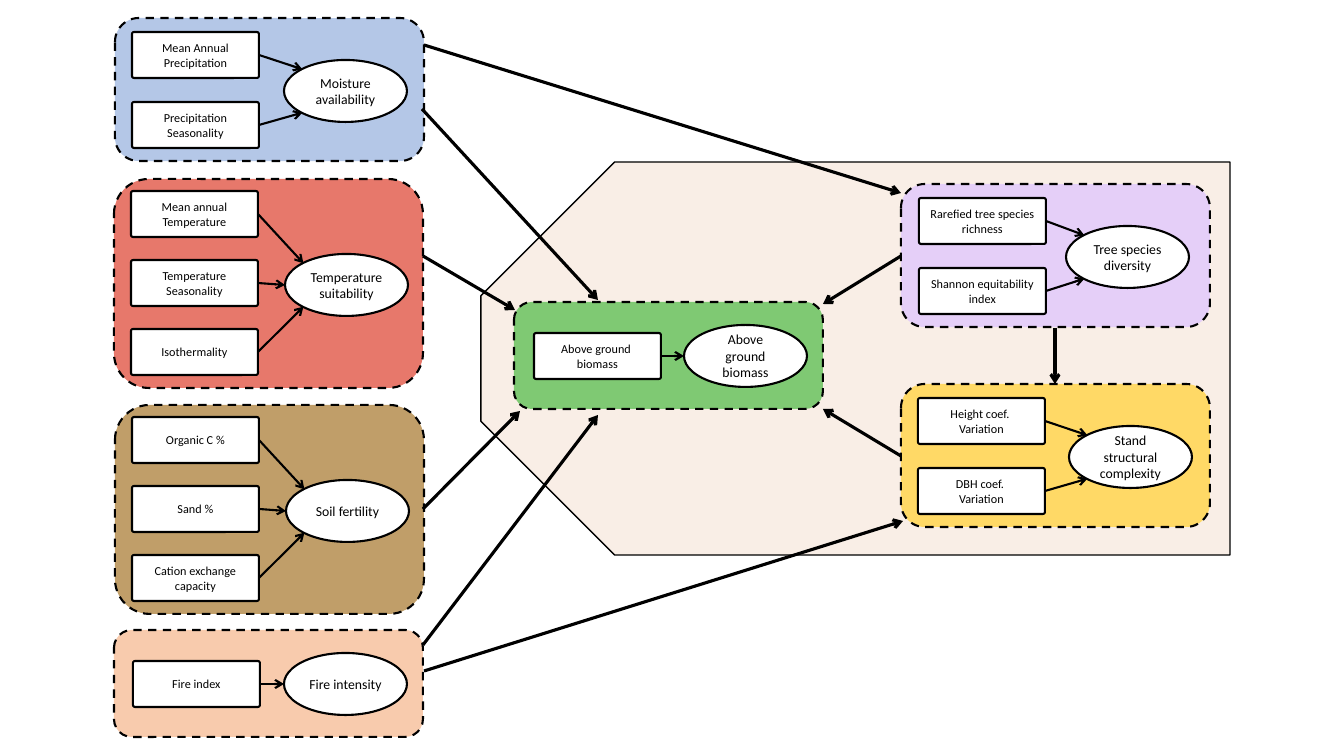
from lxml.etree import SubElement
from pptx import Presentation
from pptx.dml.color import RGBColor
from pptx.enum.dml import MSO_LINE
from pptx.enum.shapes import MSO_CONNECTOR, MSO_SHAPE
from pptx.enum.text import MSO_ANCHOR, PP_ALIGN
from pptx.oxml.ns import qn
from pptx.util import Pt

PX = 12192000 / 1344
COLORS = {
    "ink": "000000", "paper": "FFFFFF", "forest": "C55A11",
    "moisture": "B4C7E7", "temperature": "E7786B", "soil": "A47326",
    "fire": "F8CBAD", "diversity": "E5CFF8", "structure": "FFD966",
    "biomass": "7FC973",
}

prs = Presentation()
prs.slide_width, prs.slide_height = round(1344 * PX), round(756 * PX)
slide = prs.slides.add_slide(prs.slide_layouts[6])


def add_node(kind, bounds, color, weight=1.5, text="", size=9.8, inset=3, opacity=100):
    node = slide.shapes.add_shape(kind, *[round(v * PX) for v in bounds])
    node.shadow.inherit = False
    node.fill.solid()
    node.fill.fore_color.rgb = RGBColor.from_string(COLORS[color])
    if opacity < 100:
        tint = node.fill._xPr.find(qn("a:solidFill"))[0]
        SubElement(tint, qn("a:alpha"), val=str(opacity * 1000))
    node.line.color.rgb = RGBColor.from_string(COLORS["ink"])
    node.line.width = Pt(weight)
    if text:
        frame = node.text_frame
        frame.word_wrap = True
        frame.vertical_anchor = MSO_ANCHOR.MIDDLE
        frame.margin_left = frame.margin_right = round(5 * PX)
        frame.margin_top = frame.margin_bottom = round(inset * PX)
        for i, words in enumerate(text.split("\n")):
            paragraph = frame.paragraphs[0] if i == 0 else frame.add_paragraph()
            paragraph.alignment = PP_ALIGN.CENTER
            run = paragraph.add_run()
            run.text = words
            run.font.name = "Calibri"
            run.font.size = Pt(size)
            run.font.color.rgb = RGBColor.from_string(COLORS["ink"])
    return node


def add_arrow(ends, weight):
    arrow = slide.shapes.add_connector(MSO_CONNECTOR.STRAIGHT, *[round(v * PX) for v in ends])
    arrow.line.color.rgb = RGBColor.from_string(COLORS["ink"])
    arrow.line.width = Pt(weight)
    SubElement(arrow.line._get_or_add_ln(), qn("a:tailEnd"), type="arrow")
    SubElement(arrow._element.spPr, qn("a:effectLst"))


forest = add_node(MSO_SHAPE.SNIP_2_SAME_RECTANGLE, (659, -16, 393, 749), "forest", 1, opacity=10)
forest.adjustments[0] = 0.34
forest.adjustments[1] = 0
forest.rotation = 270

PANEL_W = 309
BOX_W, BOX_H = 127, 46
OVAL_W, OVAL_H = 123, 62
DIAGONAL = 0.15

# panel height, first box offset, box step, oval offset, oval anchors by box
LAYOUTS = {
    1: (107, 31, 0, 23, [(0, 0.5)]),
    2: (143, 14, 70, 42, [(DIAGONAL, DIAGONAL), (DIAGONAL, 1 - DIAGONAL)]),
    3: (209, 12, 69, 75, [(DIAGONAL, DIAGONAL), (0, 0.5), (DIAGONAL, 1 - DIAGONAL)]),
}

FACTORS = [
    ("structure", 901, 384, 918, 1069, "Stand structural complexity",
     ["Height coef. \nVariation", "DBH coef. \nVariation"]),
    ("diversity", 901, 184, 919, 1066, "Tree species diversity",
     ["Rarefied tree species richness", "Shannon equitability index"]),
    ("fire", 114, 630, 133, 284, "Fire intensity", ["Fire index"]),
    ("moisture", 115, 18, 132, 284, "Moisture availability",
     ["Mean Annual Precipitation", "Precipitation Seasonality"]),
    ("soil", 115, 405, 132, 286, "Soil fertility",
     ["Organic C %", "Sand %", "Cation exchange capacity"]),
    ("temperature", 114, 179, 131, 285, "Temperature suitability",
     ["Mean annual Temperature", "Temperature Seasonality", "Isothermality"]),
    ("biomass", 514, 302, 534, 684, "Above ground biomass", ["Above ground \nbiomass"]),
]

for factor, left, top, box_left, oval_left, concept, indicators in FACTORS:
    height, box_offset, step, oval_offset, anchors = LAYOUTS[len(indicators)]
    panel = add_node(MSO_SHAPE.ROUNDED_RECTANGLE, (left, top, PANEL_W, height), factor,
                     opacity=69 if factor == "soil" else 100)
    panel.line.dash_style = MSO_LINE.DASH
    oval_top = top + oval_offset
    add_node(MSO_SHAPE.OVAL, (oval_left, oval_top, OVAL_W, OVAL_H), "paper", text=concept)
    for i, (indicator, (across, down)) in enumerate(zip(indicators, anchors)):
        box_top = top + box_offset + i * step
        box = add_node(MSO_SHAPE.ROUNDED_RECTANGLE, (box_left, box_top, BOX_W, BOX_H),
                       "paper", text=indicator, size=8.7, inset=2)
        box.adjustments[0] = 0.045
        add_arrow((box_left + BOX_W, box_top + BOX_H / 2,
                   oval_left + across * OVAL_W, oval_top + down * OVAL_H), 1.5)

EFFECTS = [
    (1055, 328, 1055, 384),
    (901, 256, 823, 304),
    (901, 456, 823, 409),
    (423, 256, 515, 310),
    (423, 509, 520, 411),
    (424, 45, 901, 193),
    (424, 671, 903, 521),
    (422, 109, 598, 300),
    (423, 645, 598, 415),
]
for ends in EFFECTS:
    add_arrow(ends, 2.25)

prs.save("out.pptx")
